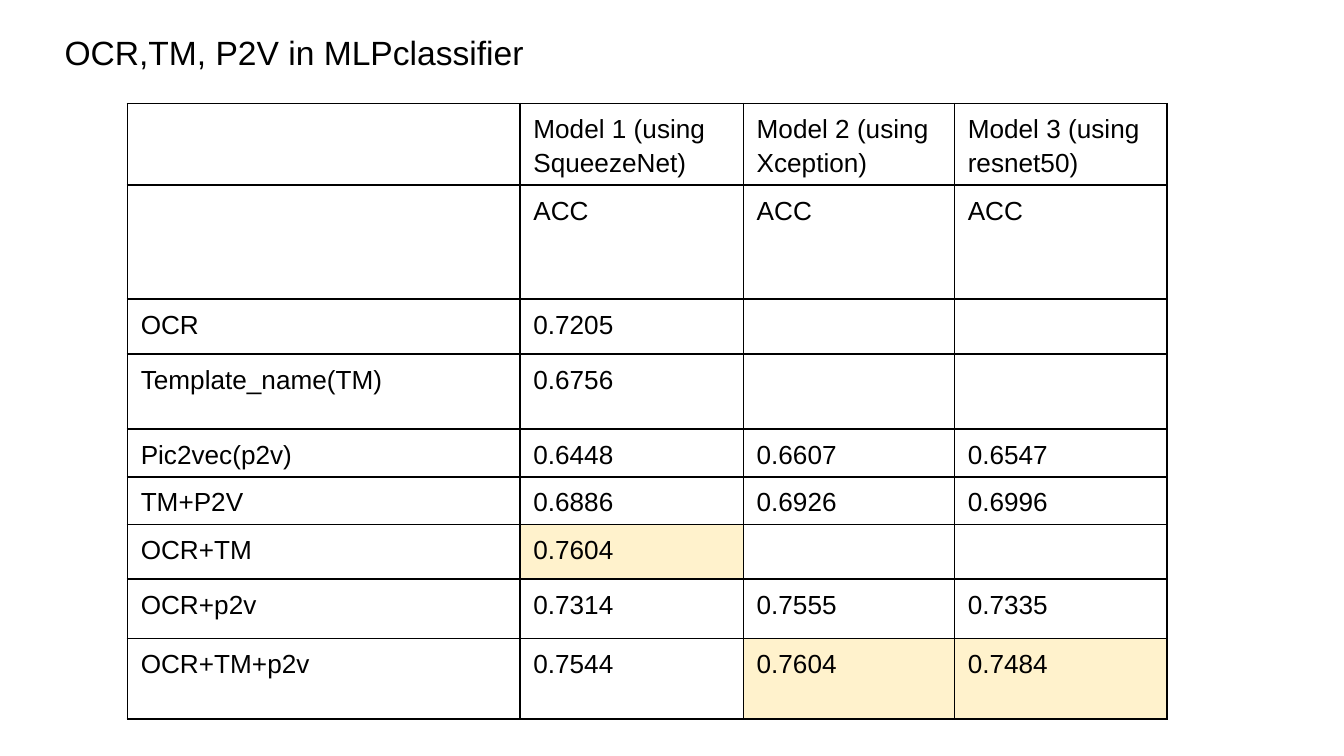
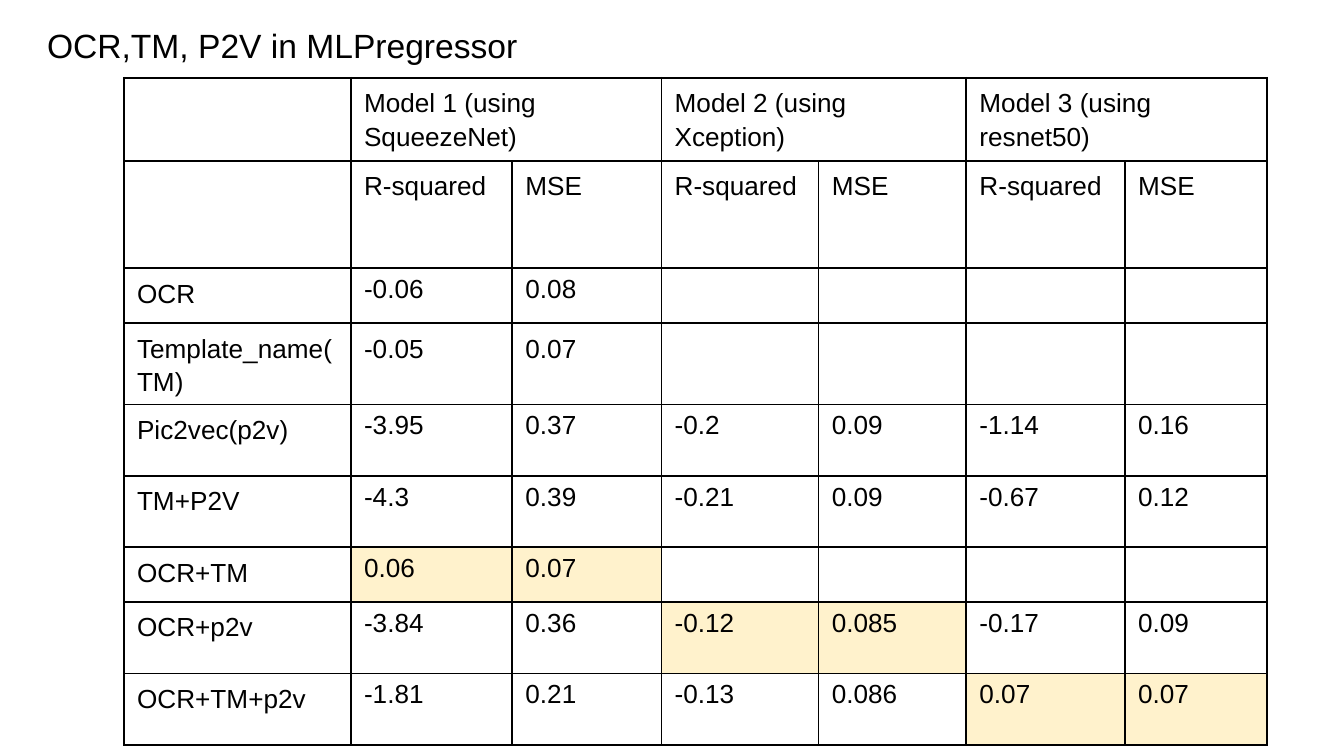
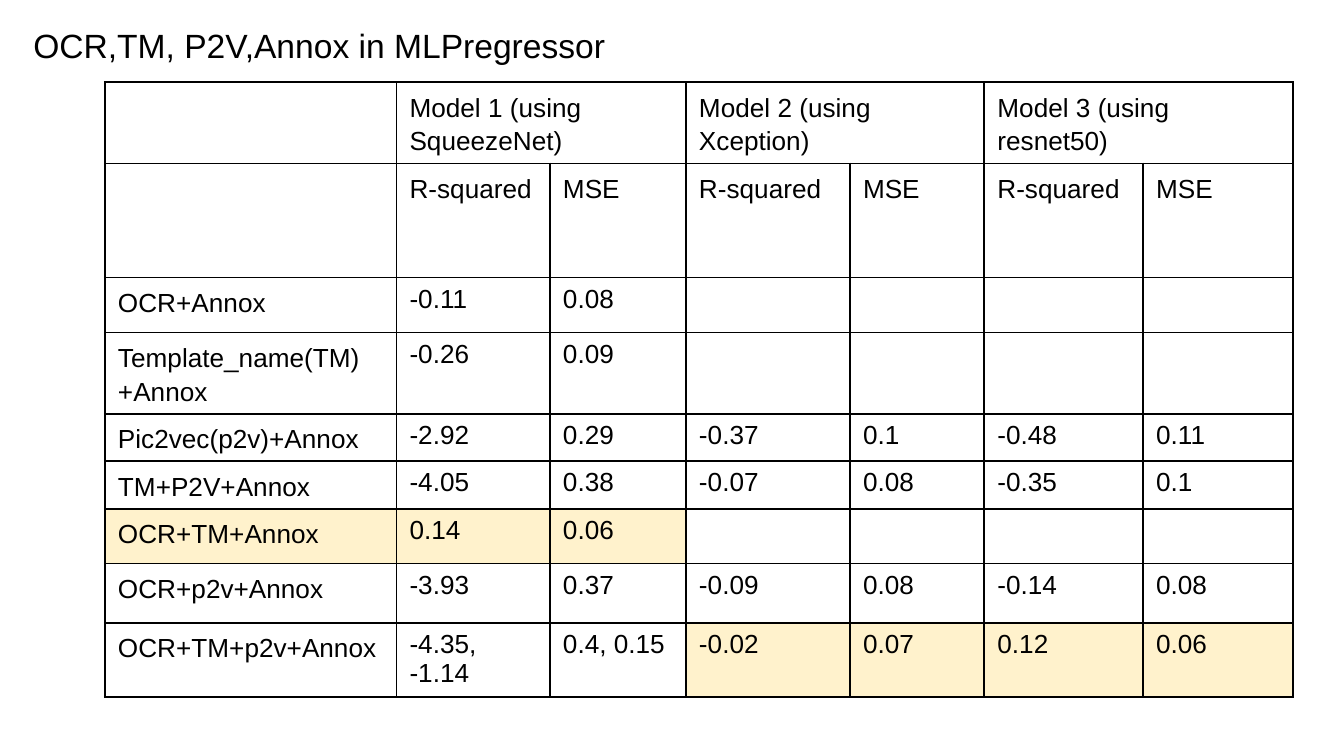
"""Build three slides that compare model scores in tables."""
from dataclasses import dataclass

from lxml import etree
from pptx import Presentation
from pptx import util as u
from pptx.dml.color import RGBColor
from pptx.enum import text
from pptx.oxml import ns

BLACK = RGBColor(0x00, 0x00, 0x00)
WHITE = RGBColor(0xFF, 0xFF, 0xFF)
HIGHLIGHT = RGBColor(0xFF, 0xF2, 0xCC)
FONT = "Arial"
TITLE_SIZE, CELL_SIZE = u.Pt(18), u.Pt(14)
LOOSE, SINGLE = 1.15, 1.0
BORDER = u.Pt(1)
TITLE_ONLY = 5
HEADER_ROWS = 2
MODELS = ("Model 1 (using SqueezeNet)", "Model 2 (using Xception)", "Model 3 (using resnet50)")


@dataclass(frozen=True)
class Box:
    """Position and size in centimetres."""

    left: float
    top: float
    width: float
    height: float


@dataclass(frozen=True)
class ScoreSlide:
    """Title, table geometry and scores of one slide."""

    title: str
    title_box: Box
    table_left: float
    table_top: float
    columns: tuple[float, ...]
    rows: tuple[float, ...]
    metrics: tuple[str, ...]
    scores: tuple[tuple[str, ...], ...]
    highlights: frozenset[tuple[int, int]]
    loose_rows: frozenset[int]


SLIDES = (
    ScoreSlide(
        title="OCR,TM, P2V in MLPclassifier",
        title_box=Box(0.97, 0.36, 10.26, 2.29),
        table_left=2.41,
        table_top=1.96,
        columns=(7.42, 4.22, 3.99, 4.01),
        rows=(1.52, 2.16, 0.97, 1.42, 0.89, 0.89, 0.97, 1.12, 1.52),
        metrics=("ACC",),
        scores=(
            ("OCR", "0.7205"),
            ("Template_name(TM)", "0.6756"),
            ("Pic2vec(p2v)", "0.6448", "0.6607", "0.6547"),
            ("TM+P2V", "0.6886", "0.6926", "0.6996"),
            ("OCR+TM", "0.7604"),
            ("OCR+p2v", "0.7314", "0.7555", "0.7335"),
            ("OCR+TM+p2v", "0.7544", "0.7604", "0.7484"),
        ),
        highlights=frozenset({(6, 1), (8, 2), (8, 3)}),
        loose_rows=frozenset(range(9)),
    ),
    ScoreSlide(
        title="OCR,TM, P2V in MLPregressor",
        title_box=Box(0.64, 0.23, 16.56, 1.27),
        table_left=2.34,
        table_top=1.47,
        columns=(4.29, 3.05, 2.82, 2.97, 2.79, 3.0, 2.69),
        rows=(1.57, 2.03, 0.97, 1.52, 1.35, 1.35, 0.97, 1.35, 1.35),
        metrics=("R-squared", "MSE"),
        scores=(
            ("OCR", "-0.06", "0.08"),
            ("Template_name(TM)", "-0.05", "0.07"),
            ("Pic2vec(p2v)", "-3.95", "0.37", "-0.2", "0.09", "-1.14", "0.16"),
            ("TM+P2V", "-4.3", "0.39", "-0.21", "0.09", "-0.67", "0.12"),
            ("OCR+TM", "0.06", "0.07"),
            ("OCR+p2v", "-3.84", "0.36", "-0.12", "0.085", "-0.17", "0.09"),
            ("OCR+TM+p2v", "-1.81", "0.21", "-0.13", "0.086", "0.07", "0.07"),
        ),
        highlights=frozenset({(6, 1), (6, 2), (7, 3), (7, 4), (8, 5), (8, 6)}),
        loose_rows=frozenset({0, 1, 3}),
    ),
    ScoreSlide(
        title="OCR,TM, P2V,Annox in MLPregressor",
        title_box=Box(0.38, 0.23, 20.32, 1.32),
        table_left=1.98,
        table_top=1.55,
        columns=(5.51, 2.9, 2.57, 3.1, 2.54, 3.0, 2.84),
        rows=(1.52, 2.16, 0.97, 1.52, 0.89, 0.89, 0.97, 1.12, 1.4),
        metrics=("R-squared", "MSE"),
        scores=(
            ("OCR+Annox", "-0.11", "0.08"),
            ("Template_name(TM)+Annox", "-0.26", "0.09"),
            ("Pic2vec(p2v)+Annox", "-2.92", "0.29", "-0.37", "0.1", "-0.48", "0.11"),
            ("TM+P2V+Annox", "-4.05", "0.38", "-0.07", "0.08", "-0.35", "0.1"),
            ("OCR+TM+Annox", "0.14", "0.06"),
            ("OCR+p2v+Annox", "-3.93", "0.37", "-0.09", "0.08", "-0.14", "0.08"),
            ("OCR+TM+p2v+Annox", "-4.35, -1.14", "0.4, 0.15", "-0.02", "0.07", "0.12", "0.06"),
        ),
        highlights=frozenset({(6, 0), (6, 1), (6, 2), (8, 3), (8, 4), (8, 5), (8, 6)}),
        loose_rows=frozenset({0, 1}),
    ),
)


def write(paragraph, words: str, size: int) -> None:
    """Add one run in the shared text style."""
    run = paragraph.add_run()
    run.text = words
    run.font.name = FONT
    run.font.size = size
    run.font.color.rgb = BLACK


def add_title(slide, words: str, box: Box) -> None:
    """Place and fill the title placeholder."""
    shape = slide.shapes.title
    shape.left, shape.top = u.Cm(box.left), u.Cm(box.top)
    shape.width, shape.height = u.Cm(box.width), u.Cm(box.height)
    frame = shape.text_frame
    frame.word_wrap = True
    frame.auto_size = text.MSO_AUTO_SIZE.NONE
    frame.vertical_anchor = text.MSO_ANCHOR.TOP
    frame.margin_left = frame.margin_right = frame.margin_top = frame.margin_bottom = u.Cm(0.25)
    paragraph = frame.paragraphs[0]
    paragraph.alignment = text.PP_ALIGN.LEFT
    write(paragraph, words, TITLE_SIZE)


def add_borders(cell) -> None:
    """Draw a thin black line on each side of a cell."""
    properties = cell._tc.get_or_add_tcPr()
    for side in ("lnL", "lnR", "lnT", "lnB"):
        line = etree.SubElement(properties, ns.qn(f"a:{side}"), w=str(BORDER))
        fill = etree.SubElement(line, ns.qn("a:solidFill"))
        etree.SubElement(fill, ns.qn("a:srgbClr"), val=str(BLACK))


def format_cell(cell, words: str, spacing: float, color: RGBColor) -> None:
    """Set the borders, fill, margins and text of a cell."""
    add_borders(cell)
    cell.fill.solid()
    cell.fill.fore_color.rgb = color
    cell.margin_left = cell.margin_right = u.Cm(0.25)
    cell.margin_top = cell.margin_bottom = u.Cm(0.13)
    paragraph = cell.text_frame.paragraphs[0]
    paragraph.line_spacing = spacing
    if words:
        write(paragraph, words, CELL_SIZE)


def table_words(content: ScoreSlide) -> list[list[str]]:
    """Return the header and score rows, padded to full width."""
    padding = [""] * (len(content.metrics) - 1)
    models = [words for model in MODELS for words in (model, *padding)]
    scores = [[*row, *[""] * (len(content.columns) - len(row))] for row in content.scores]
    return [["", *models], ["", *content.metrics * len(MODELS)], *scores]


def add_score_table(slide, content: ScoreSlide) -> None:
    """Add the table of scores."""
    frame = slide.shapes.add_table(
        len(content.rows), len(content.columns),
        u.Cm(content.table_left), u.Cm(content.table_top),
        u.Cm(sum(content.columns)), u.Cm(sum(content.rows)),
    )
    table = frame.table
    table.first_row = table.horz_banding = False
    for column, width in zip(table.columns, content.columns):
        column.width = u.Cm(width)
    for row, height in zip(table.rows, content.rows):
        row.height = u.Cm(height)
    for row, words_in_row in enumerate(table_words(content)):
        for column, words in enumerate(words_in_row):
            loose = column == 0 or row in content.loose_rows
            color = HIGHLIGHT if (row, column) in content.highlights else WHITE
            format_cell(table.cell(row, column), words, LOOSE if loose else SINGLE, color)
    span = len(content.metrics)
    if span > 1:
        for first in range(1, len(content.columns), span):
            table.cell(0, first).merge(table.cell(0, first + span - 1))


def main() -> None:
    """Create and save the presentation."""
    presentation = Presentation()
    presentation.slide_width, presentation.slide_height = u.Cm(25.4), u.Cm(14.29)
    for content in SLIDES:
        slide = presentation.slides.add_slide(presentation.slide_layouts[TITLE_ONLY])
        add_title(slide, content.title, content.title_box)
        add_score_table(slide, content)
    presentation.save("out.pptx")


if __name__ == "__main__":
    main()
